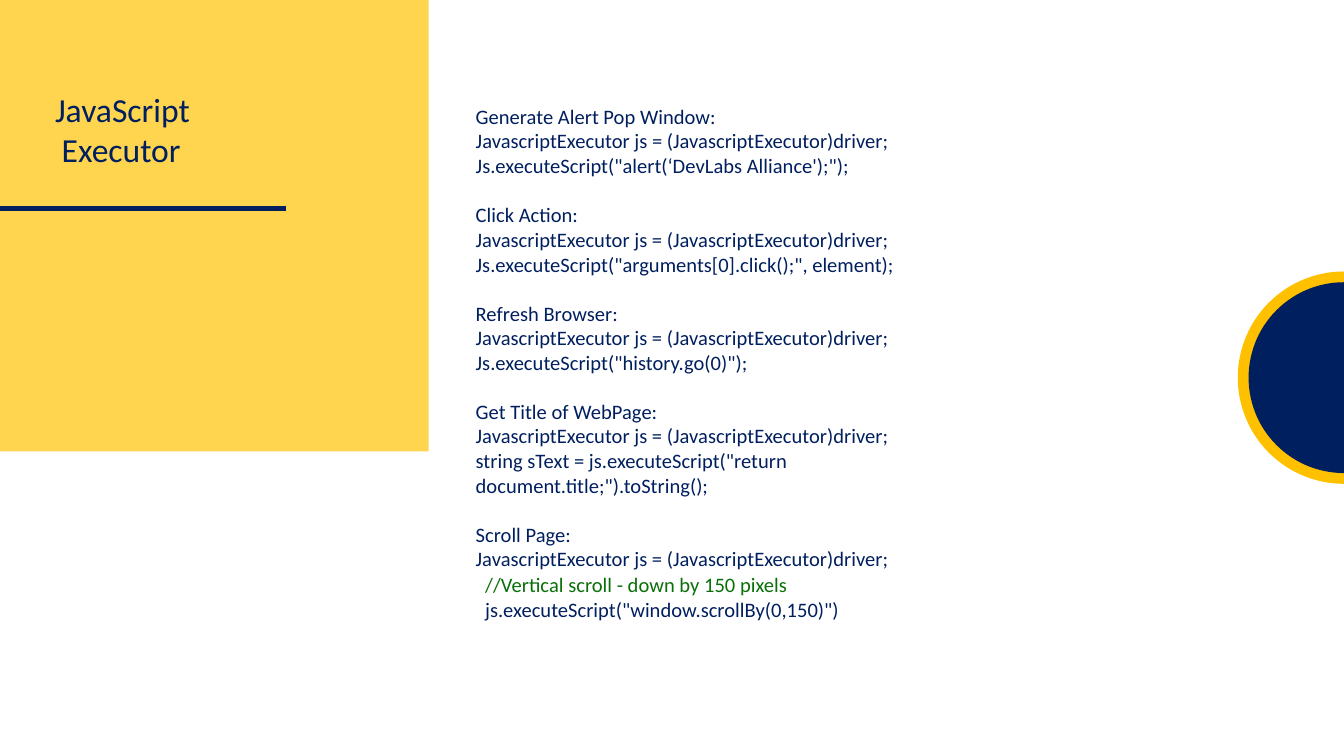
from math import cos, pi, sin

from lxml.etree import SubElement
from pptx import Presentation
from pptx.dml.color import RGBColor as Rgb
from pptx.enum.shapes import MSO_CONNECTOR as Link, MSO_SHAPE as Preset
from pptx.oxml.ns import qn
from pptx.util import Inches, Pt

COLORS = {"navy": "001F5F", "yellow": "FFD44F", "amber": "FFC000", "green": "097009"}
COLUMNS, ROWS = 100, 56.25
CELL = Inches(0.1)
DRIVER = "JavascriptExecutor js = (JavascriptExecutor)driver;"


def cells(*counts):
    return [round(count * CELL) for count in counts]


class SlidePainter:
    def __init__(self, slide, font="Calibri"):
        self.shapes = slide.shapes
        self.font = font

    def color(self, name):
        return Rgb.from_string(COLORS[name])

    def paint(self, shape, color):
        shape.shadow.inherit = False
        shape.fill.solid()
        shape.fill.fore_color.rgb = self.color(color)
        shape.line.fill.background()

    def panel(self, left, top, width, height, color):
        block = self.shapes.add_shape(Preset.RECTANGLE, *cells(left, top, width, height))
        self.paint(block, color)

    def rule(self, left, right, row, color, weight):
        line = self.shapes.add_connector(Link.STRAIGHT, *cells(left, row, right, row))
        line.line.color.rgb = self.color(color)
        line.line.width = Pt(weight)
        SubElement(line._element.spPr, qn("a:effectLst"))

    def half_disc(self, center_row, radius, color, steps=60):
        """Draw the left half of a disc centred on the slide's right edge."""
        angles = [pi * step / steps for step in range(steps + 1)]
        arc = [cells(COLUMNS - radius * sin(a), center_row - radius * cos(a)) for a in angles]
        builder = self.shapes.build_freeform(*arc[0])
        builder.add_line_segments(arc[1:], close=True)
        self.paint(builder.convert_to_shape(), color)

    def text_frame(self, left, top, width, height):
        frame = self.shapes.add_textbox(*cells(left, top, width, height)).text_frame
        frame.word_wrap = True
        frame.margin_left = frame.margin_right = frame.margin_bottom = 0
        frame.margin_top = Inches(0.02)
        return frame

    def paragraph(self, frame, runs, size, before=0, left=0.1, first=0, right=0):
        """Add runs of (text, colour); the indents are in cells."""
        is_first = not frame.paragraphs[0].runs
        paragraph = frame.paragraphs[0] if is_first else frame.add_paragraph()
        properties = paragraph._p.get_or_add_pPr()
        for key, indent in zip(("marL", "indent", "marR"), cells(left, first, right)):
            properties.set(key, str(indent))
        if before and not is_first:
            paragraph.space_before = Pt(before)
        for content, color in runs:
            run = paragraph.add_run()
            run.text = content
            run.font.name = self.font
            run.font.size = Pt(size)
            run.font.color.rgb = self.color(color)

    def snippets(self, frame, groups, right=0):
        """Set each heading off from the snippet above it."""
        for heading, *code in groups:
            self.paragraph(frame, [(heading, "navy")], 11, before=13, right=right)
            for line in code:
                self.paragraph(frame, [(line, "navy")], 11, right=right)


def main():
    deck = Presentation()
    deck.slide_width, deck.slide_height = cells(COLUMNS, ROWS)
    painter = SlidePainter(deck.slides.add_slide(deck.slide_layouts[6]))

    painter.panel(0, 0, 31.9, 33.6, "yellow")
    painter.rule(0, 21.3, 15.5, "navy", 3)
    for radius, color in ((7.9, "amber"), (7.1, "navy")):
        painter.half_disc(28.1, radius, color)

    title = painter.text_frame(4, 6.4, 10.3, 6.3)
    painter.paragraph(title, [("JavaScript Executor", "navy")], 18, left=0.6, first=-0.5)

    alert = painter.text_frame(35.3, 7.5, 31.1, 5.8)
    painter.snippets(alert, [
        ("Generate Alert Pop Window:",
         DRIVER + " Js.executeScript(\"alert(‘DevLabs Alliance');\");"),
    ])

    actions = painter.text_frame(35.3, 14.85, 41.6, 29.6)
    wrap = 9.4
    painter.snippets(actions, [
        ("Click Action:", DRIVER + ' Js.executeScript("arguments[0].click();", element);'),
        ("Refresh Browser:", DRIVER + ' Js.executeScript("history.go(0)");'),
        ("Get Title of WebPage:", DRIVER,
         'string sText = js.executeScript("return document.title;").toString();'),
        ("Scroll Page:", DRIVER),
    ], right=wrap)
    scroll = [
        ("//Vertical scroll - down by 150 pixels ", "green"),
        ('js.executeScript("window.scrollBy(0,150)")', "navy"),
    ]
    painter.paragraph(actions, scroll, 11, before=0.8, left=0.8, right=wrap)

    deck.save("out.pptx")


if __name__ == "__main__":
    main()
